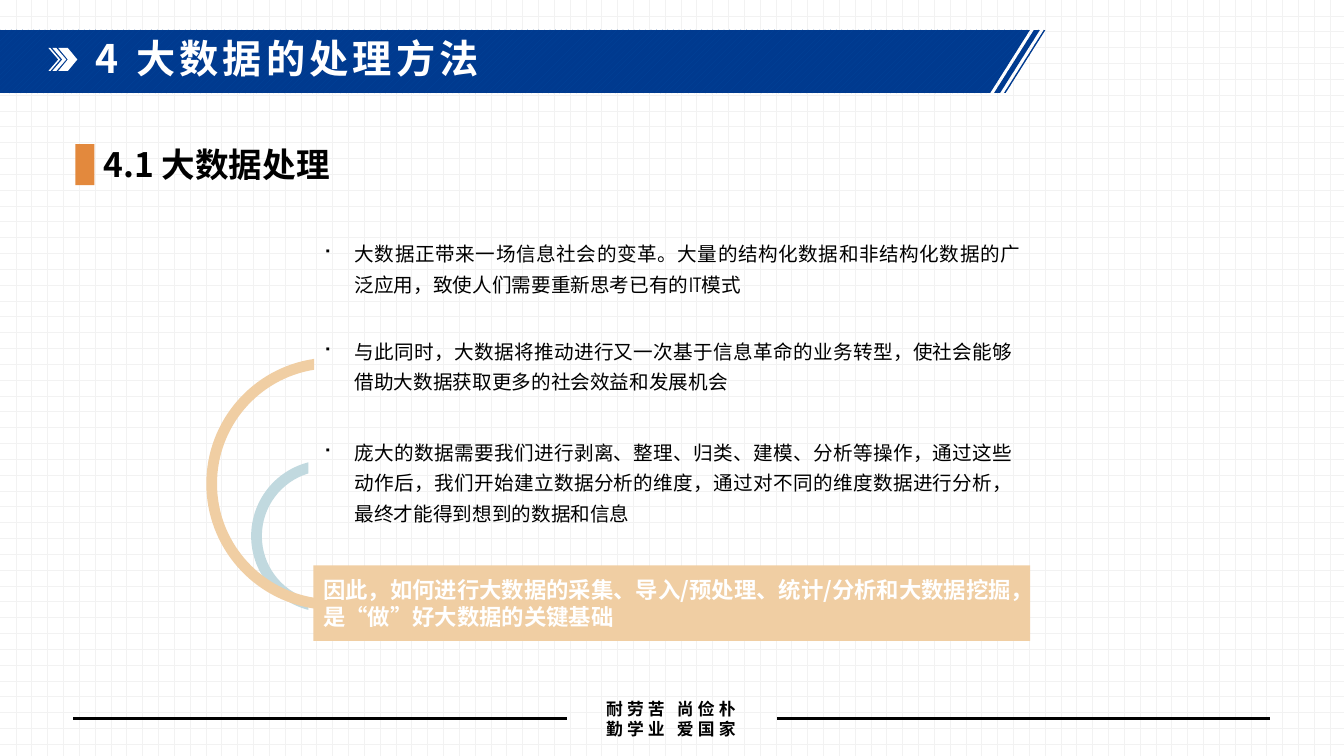
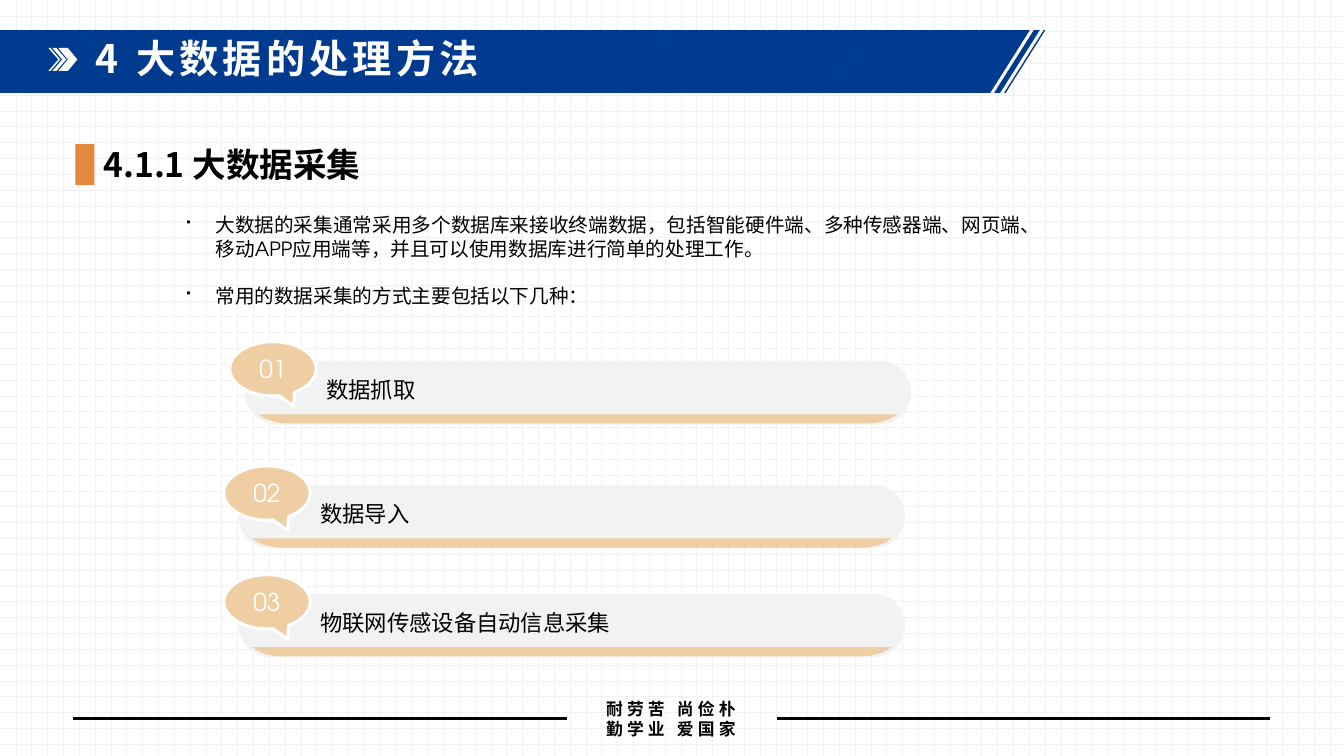
import math
from dataclasses import dataclass

from lxml import etree
from pptx import Presentation
from pptx import util as u
from pptx.dml.color import RGBColor
from pptx.enum import dml, shapes, text
from pptx.oxml import ns

Cm = u.Cm
Shape = shapes.MSO_SHAPE
Align = text.PP_ALIGN
Anchor = text.MSO_ANCHOR


@dataclass(frozen=True)
class Theme:
    white: str = "FFFFFF"
    black: str = "000000"
    pale: str = "F2F2F2"
    navy: str = "003A8F"
    navy_stripe: str = "00449A"
    orange: str = "E3893D"
    sand: str = "F0CEA3"
    mist: str = "C1D9DF"
    heading_font: str = "Noto Sans CJK SC"
    body_font: str = "TeX Gyre Adventor"
    title_size: float = 28
    subtitle_size: float = 24
    number_size: float = 17.6
    label_size: float = 16
    body_size: float = 14
    footer_size: float = 12


def color(code):
    return RGBColor.from_string(code)


def add_child(parent, tag, **attributes):
    return etree.SubElement(parent, ns.qn(tag), attributes)


class SlideBuilder:
    def __init__(self, theme):
        self.theme = theme
        self.deck = Presentation()
        self.deck.slide_width = Cm(33.87)
        self.deck.slide_height = Cm(19.05)
        self.slide = None

    def pattern(self, fill, kind, front, back):
        fill.patterned()
        fill.pattern = kind
        fill.fore_color.rgb = color(front)
        fill.back_color.rgb = color(back)

    def paint(self, shape, fill):
        shape.shadow.inherit = False
        shape.fill.solid()
        shape.fill.fore_color.rgb = color(fill)
        shape.line.fill.background()
        return shape

    def shape(self, kind, left, top, width, height, fill):
        shape = self.slide.shapes.add_shape(
            kind, Cm(left), Cm(top), Cm(width), Cm(height))
        return self.paint(shape, fill)

    def outline(self, fill, *contours):
        contours = [[[Cm(value) for value in step] for step in contour]
                    for contour in contours]
        builder = self.slide.shapes.build_freeform(*contours[0][0])
        for index, contour in enumerate(contours):
            if index:
                builder.move_to(*contour[0])
            builder.add_line_segments([step[-2:] for step in contour[1:]])
        shape = self.paint(builder.convert_to_shape(), fill)
        steps = [step for contour in contours for step in contour[1:]]
        segments = list(shape._element.iter(ns.qn("a:lnTo")))
        for step, segment in zip(steps, segments):
            if len(step) == 6:
                self.bend(shape, segment, step)
        return shape

    def bend(self, shape, segment, step):
        curve = etree.Element(ns.qn("a:cubicBezTo"))
        for x, y in zip(step[::2], step[1::2]):
            add_child(curve, "a:pt", x=str(x - shape.left), y=str(y - shape.top))
        segment.getparent().replace(segment, curve)

    def line(self, start, end, y):
        line = self.slide.shapes.add_connector(
            shapes.MSO_CONNECTOR.STRAIGHT, Cm(start), Cm(y), Cm(end), Cm(y))
        line.line.color.rgb = color(self.theme.black)
        line.line.width = u.Pt(2)
        add_child(line._element.spPr, "a:effectLst")

    def text_box(self, left, top, width, height, anchor=Anchor.TOP):
        box = self.slide.shapes.add_textbox(
            Cm(left), Cm(top), Cm(width), Cm(height))
        box.text_frame.word_wrap = True
        box.text_frame.vertical_anchor = anchor
        return box.text_frame

    def format(self, para, size, ink, heading=False, align=Align.LEFT,
               line_spacing=None, tracking=0):
        para.alignment = align
        para.line_spacing = line_spacing
        font = para.font
        font.size = u.Pt(size)
        font.bold = heading
        font.color.rgb = color(ink)
        font.name = self.theme.heading_font if heading else self.theme.body_font
        if heading:
            add_child(font._element, "a:ea", typeface=font.name)
        if tracking:
            font._element.set("spc", str(tracking * 100))

    def bullet(self, para, words, **style):
        para.text = words
        properties = para._p.get_or_add_pPr()
        properties.set("marL", str(Cm(0.79)))
        properties.set("indent", str(-Cm(0.79)))
        add_child(properties, "a:buFont", typeface="Wingdings", charset="2")
        add_child(properties, "a:buChar", char="■")
        self.format(para, self.theme.body_size, self.theme.black, **style)

    def new_slide(self, title, subtitle):
        theme = self.theme
        self.slide = self.deck.slides.add_slide(self.deck.slide_layouts[5])
        self.pattern(self.slide.background.fill, dml.MSO_PATTERN.DOTTED_GRID,
                     theme.pale, theme.white)
        self.band()
        self.footer()
        self.shape(Shape.RECTANGLE, 1.9, 3.63, 0.48, 1.04, theme.orange)
        self.title(title)
        para = self.text_box(2.36, 3.68, 29.64, 1.04, Anchor.MIDDLE).paragraphs[0]
        para.text = subtitle
        self.format(para, theme.subtitle_size, theme.black, heading=True,
                    line_spacing=0.9)

    def title(self, words):
        title = self.slide.shapes.title
        title.left, title.top = Cm(1.83), Cm(0.83)
        title.width, title.height = Cm(21.11), Cm(1.42)
        frame = title.text_frame
        frame.auto_size = text.MSO_AUTO_SIZE.NONE
        frame.vertical_anchor = Anchor.MIDDLE
        frame.margin_left = Cm(0.58)
        para = frame.paragraphs[0]
        para.text = words
        para.space_before = u.Pt(0)
        self.format(para, self.theme.title_size, self.theme.white, heading=True,
                    line_spacing=0.9, tracking=3)
        self.slide.shapes._spTree.append(title._element)

    def band(self):
        theme = self.theme
        top, bottom, slant = 0.75, 2.35, 1.01
        bars = [(26.31, 26.35), (26.06, 26.21)]
        contours = [[(left, top), (right, top), (right - slant, bottom),
                     (left - slant, bottom)] for left, right in bars]
        contours.append([(0, top), (25.96, top), (24.95, bottom), (0, bottom)])
        band = self.outline(theme.navy, *contours)
        self.pattern(band.fill, dml.MSO_PATTERN.WIDE_UPWARD_DIAGONAL,
                     theme.navy_stripe, theme.navy)
        self.shape(Shape.CHEVRON, 1.47, 1.21, 0.48, 0.58, theme.white)
        for left, thickness in ((1.32, 0.1), (1.22, 0.05)):
            right = left + thickness
            self.outline(theme.white, [
                (left, 1.21), (right, 1.21), (right + 0.25, 1.5),
                (right, 1.79), (left, 1.79), (left + 0.25, 1.5)])

    def footer(self):
        frame = self.text_box(14.27, 17.48, 5.28, 1.27, Anchor.MIDDLE)
        frame.text = "耐劳苦 尚俭朴\n勤学业 爱国家"
        for para in frame.paragraphs:
            self.format(para, self.theme.footer_size, self.theme.black,
                        heading=True, align=Align.CENTER, tracking=3)
        self.line(1.85, 14.28, 18.11)
        self.line(19.58, 32, 18.11)

    def arc(self, center_x, center_y, outer, inner, cut, fill):
        def edge(radius, direction):
            limit = math.acos((center_x - cut) / radius)
            handle = 4 / 3 * math.tan(limit / 4) * radius
            across, along = handle * math.sin(limit), handle * math.cos(limit)
            rise = radius * math.sin(limit) * direction
            left = center_x - radius
            start, end = center_y - rise, center_y + rise
            lift = handle * direction
            return [
                (cut, start),
                (cut - across, start + along * direction,
                 left, center_y - lift, left, center_y),
                (left, center_y + lift,
                 cut - across, end - along * direction, cut, end)]

        self.outline(fill, edge(outer, 1) + edge(inner, -1))

    def statement(self, words, left, top, width, height):
        box = self.shape(Shape.RECTANGLE, left, top, width, height, self.theme.sand)
        box.text_frame.word_wrap = True
        box.text_frame.vertical_anchor = Anchor.MIDDLE
        para = box.text_frame.paragraphs[0]
        para.text = words
        self.format(para, self.theme.label_size, self.theme.white, heading=True)

    def method_bar(self, number, label, left, top):
        theme = self.theme
        pill = self.shape(Shape.ROUNDED_RECTANGLE, left, top, 16.79, 1.6, theme.pale)
        pill.adjustments[0] = 0.5
        para = self.text_box(left + 1.8, top + 0.2, 14.5, 1.04).paragraphs[0]
        para.text = label
        self.format(para, theme.label_size, theme.black, line_spacing=1.1)
        self.bubble(number, left - 0.38, top - 0.48)
        start, end, edge = left + 0.34, left + 16.44, top + 1.35
        base, bend, middle = edge + 0.23, edge + 0.1, edge + 0.18
        self.outline(theme.sand, [
            (start, edge), (end, edge), (end - 0.15, bend),
            (end - 0.33, middle, end - 0.54, base, end - 0.76, base),
            (start + 0.76, base),
            (start + 0.54, base, start + 0.33, middle, start + 0.15, bend)])

    def bubble(self, number, left, top):
        theme = self.theme
        bubble = self.shape(Shape.OVAL_CALLOUT, left, top, 2.18, 1.37, theme.sand)
        bubble.adjustments[0], bubble.adjustments[1] = 0.238, 0.688
        bubble.line.color.rgb = color(theme.white)
        bubble.line.width = u.Pt(2.25)
        frame = bubble.text_frame
        frame.margin_left = frame.margin_right = 0
        frame.vertical_anchor = Anchor.MIDDLE
        para = frame.paragraphs[0]
        para.text = number
        self.format(para, theme.number_size, theme.white, align=Align.CENTER)


def processing_slide(page):
    page.new_slide("4 大数据的处理方法", "4.1 大数据处理")
    page.arc(8.25, 13.51, 1.92, 1.65, 7.77, page.theme.mist)
    page.arc(8.38, 12.19, 3.18, 2.91, 7.92, page.theme.sand)
    points = [
        (5.99, 1.42, 18.06, "大数据正带来一场信息社会的变革。大量的结构化数据和非结构化数据的广泛应用，致使人们需要重新思考已有的IT模式"),
        (7.39, 3.53, 17.88, "与此同时，大数据将推动进行又一次基于信息革命的业务转型，使社会能够借助大数据获取更多的社会效益和发展机会"),
        (10.13, 3.91, 17.88, "庞大的数据需要我们进行剥离、整理、归类、建模、分析等操作，通过这些动作后，我们开始建立数据分析的维度，通过对不同的维度数据进行分析，最终才能得到想到的数据和信息"),
    ]
    for top, height, width, words in points:
        frame = page.text_box(7.9, top, width, height, Anchor.MIDDLE)
        page.bullet(frame.paragraphs[0], words, align=Align.JUSTIFY,
                    line_spacing=1.3)
    page.statement("因此，如何进行大数据的采集、导入/预处理、统计/分析和大数据挖掘，是“做”好大数据的关键基础",
                   7.9, 14.25, 18.06, 1.9)


def collection_slide(page):
    page.new_slide("4 大数据的处理方法", "4.1.1 大数据采集")
    frame = page.text_box(4.39, 5.25, 22.1, 2.67)
    page.bullet(frame.paragraphs[0], "大数据的采集通常采用多个数据库来接收终端数据，包括智能硬件端、多种传感器端、网页端、移动APP应用端等，并且可以使用数据库进行简单的处理工作。")
    methods = frame.add_paragraph()
    methods.space_before = u.Pt(17)
    page.bullet(methods, "常用的数据采集的方式主要包括以下几种：")
    page.method_bar("01", "数据抓取", 6.17, 9.09)
    page.method_bar("02", "数据导入", 6.02, 12.22)
    page.method_bar("03", "物联网传感设备自动信息采集", 6.02, 14.96)


def main():
    page = SlideBuilder(Theme())
    processing_slide(page)
    collection_slide(page)
    page.deck.save("out.pptx")


if __name__ == "__main__":
    main()
